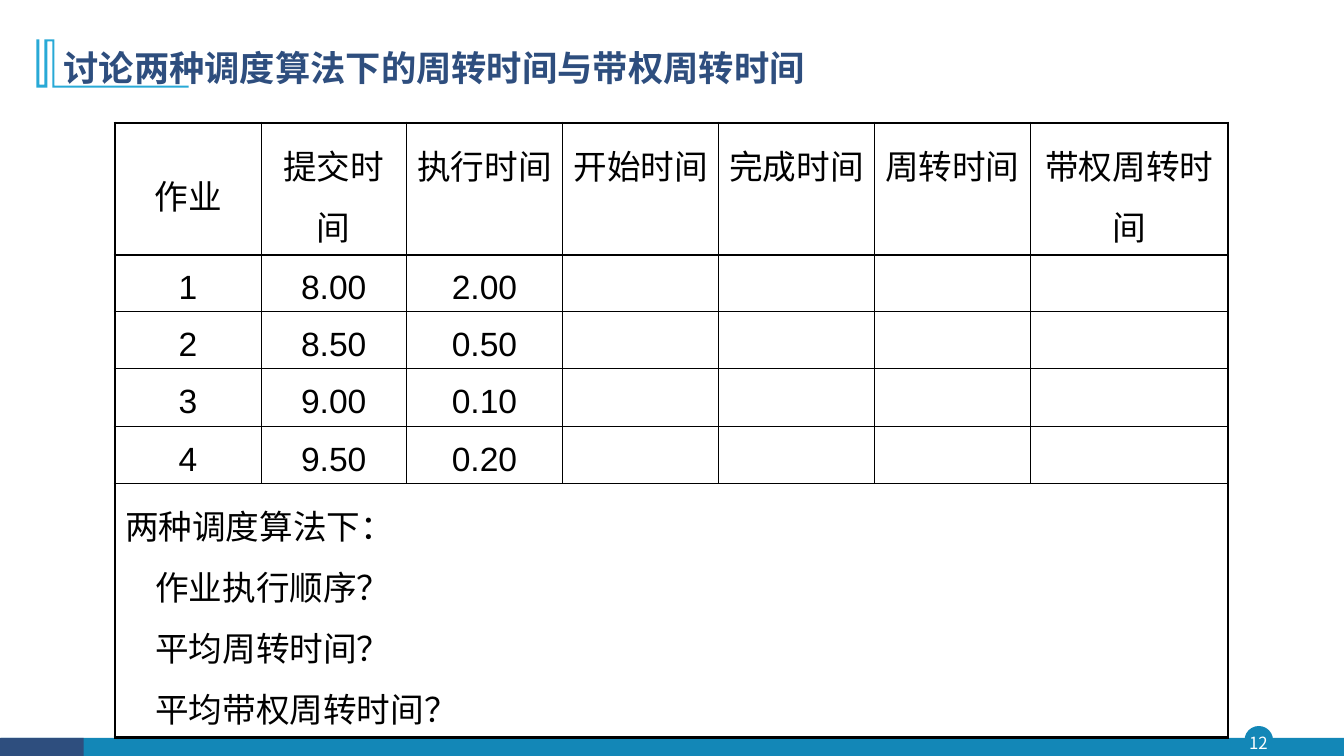
from lxml.etree import SubElement
from pptx import Presentation
from pptx.dml.color import RGBColor
from pptx.enum.shapes import MSO_SHAPE
from pptx.enum.text import MSO_ANCHOR, PP_ALIGN
from pptx.oxml.ns import qn
from pptx.util import Inches, Pt

COLORS = {"teal": "1387B7", "navy": "2E4E7E", "sky": "28A9D6",
          "black": "000000", "white": "FFFFFF"}
CJK_FONT = "Noto Sans CJK SC"
LINE_SPACING = 1.25

TITLE = "讨论两种调度算法下的周转时间与带权周转时间"
HEADERS = ["作业", "提交时间", "执行时间", "开始时间", "完成时间", "周转时间", "带权周转时间"]
JOBS = [("1", "8.00", "2.00"), ("2", "8.50", "0.50"),
        ("3", "9.00", "0.10"), ("4", "9.50", "0.20")]
QUESTIONS = ["两种调度算法下：", "作业执行顺序？", "平均周转时间？", "平均带权周转时间？"]
COLUMN_WIDTHS = [1.45, 1.44, 1.55, 1.55, 1.54, 1.55, 1.96]
ROW_HEIGHTS = [0.96, 0.53, 0.53, 0.57, 0.57, 2.46]
ORNAMENT = [(0.54, 0.39), (0.54, 0.85), (1.87, 0.85), (1.87, 0.87), (0.52, 0.87),
            (0.52, 0.41), (0.47, 0.41), (0.47, 0.87), (0.36, 0.87), (0.36, 0.39),
            (0.39, 0.39), (0.39, 0.84), (0.44, 0.84), (0.44, 0.39)]


def color(name):
    return RGBColor.from_string(COLORS[name])


class SlideBuilder:
    def __init__(self, slide):
        self.slide = slide

    def format_paragraph(self, paragraph, size, color_name, font=CJK_FONT, bold=False,
                         align=PP_ALIGN.LEFT, spacing=LINE_SPACING):
        paragraph.alignment = align
        paragraph.line_spacing = spacing
        for run in paragraph.runs:
            run.font.size = Pt(size)
            run.font.name = font
            run.font.bold = bold
            run.font.color.rgb = color(color_name)
            SubElement(run.font._element, qn("a:ea"), typeface=CJK_FONT)

    def paint(self, shape, color_name):
        shape.shadow.inherit = False
        shape.fill.solid()
        shape.fill.fore_color.rgb = color(color_name)
        shape.line.fill.background()

    def shape(self, kind, left, top, width, height, color_name):
        shape = self.slide.shapes.add_shape(
            kind, Inches(left), Inches(top), Inches(width), Inches(height))
        self.paint(shape, color_name)
        return shape

    def outline(self, points, color_name):
        corners = [(Inches(x), Inches(y)) for x, y in points]
        builder = self.slide.shapes.build_freeform(*corners[0])
        builder.add_line_segments(corners[1:], close=True)
        self.paint(builder.convert_to_shape(), color_name)

    def text(self, text, left, top, width, height, size, color_name):
        box = self.slide.shapes.add_textbox(
            Inches(left), Inches(top), Inches(width), Inches(height))
        frame = box.text_frame
        frame.word_wrap = True
        frame.vertical_anchor = MSO_ANCHOR.MIDDLE
        frame.margin_left = frame.margin_right = 0
        frame.margin_top = frame.margin_bottom = 0
        frame.text = text
        self.format_paragraph(frame.paragraphs[0], size, color_name,
                              align=PP_ALIGN.CENTER, spacing=1.0)

    def title(self, text, left, top, width, height):
        title = self.slide.shapes.title
        title.left, title.top = Inches(left), Inches(top)
        title.width, title.height = Inches(width), Inches(height)
        title.text_frame.text = text
        title.text_frame.vertical_anchor = MSO_ANCHOR.MIDDLE
        self.format_paragraph(title.text_frame.paragraphs[0], 25.2, "navy", bold=True)

    def table(self, left, top, widths, heights):
        table = self.slide.shapes.add_table(
            len(heights), len(widths), Inches(left), Inches(top),
            Inches(sum(widths)), Inches(sum(heights))).table
        table.first_row = table.horz_banding = False
        for column, width in zip(table.columns, widths):
            column.width = Inches(width)
        for row, height in zip(table.rows, heights):
            row.height = Inches(height)
        # Thick outer frame, thin inner grid
        last_row, last_column = len(heights) - 1, len(widths) - 1
        for r in range(len(heights)):
            for c in range(len(widths)):
                outer = {"lnL": c == 0, "lnR": c == last_column,
                         "lnT": r == 0, "lnB": r == last_row}
                # The merged last row takes its right edge from its first cell
                if r == last_row:
                    outer["lnR"] = True
                self.borders(table.cell(r, c), outer)
        return table

    def borders(self, cell, outer):
        properties = cell._tc.get_or_add_tcPr()
        for side, is_outer in outer.items():
            line = SubElement(properties, qn(f"a:{side}"), w=str(Pt(2.25 if is_outer else 1)))
            fill = SubElement(line, qn("a:solidFill"))
            SubElement(fill, qn("a:srgbClr"), val=COLORS["black"])
        cell.fill.background()

    def cell(self, cell, text, align=PP_ALIGN.CENTER, anchor=MSO_ANCHOR.TOP):
        cell.text_frame.text = text
        cell.vertical_anchor = anchor
        for paragraph in cell.text_frame.paragraphs:
            self.format_paragraph(paragraph, 24, "black", font="Arial", align=align)


def main():
    presentation = Presentation()
    presentation.slide_width, presentation.slide_height = Inches(13.33), Inches(7.5)
    slide = presentation.slides.add_slide(presentation.slide_layouts[5])
    builder = SlideBuilder(slide)

    # Footer with page number
    badge = builder.shape(MSO_SHAPE.OVAL, 12.35, 7.21, 0.27, 0.27, "teal")
    badge.line.color.rgb = color("teal")
    badge.line.width = Pt(1)
    builder.shape(MSO_SHAPE.RECTANGLE, 0.01, 7.32, 13.32, 0.19, "teal")
    builder.shape(MSO_SHAPE.RECTANGLE, 0, 7.32, 0.83, 0.19, "navy")
    builder.text("12", 12.32, 7.21, 0.32, 0.31, 12, "white")

    # Title with its ornament behind it
    builder.outline(ORNAMENT, "sky")
    builder.title(TITLE, 0.53, 0.34, 10.49, 0.56)
    slide.shapes._spTree.append(slide.shapes.title._element)

    # Job table
    table = builder.table(1.14, 1.22, COLUMN_WIDTHS, ROW_HEIGHTS)
    for r, values in enumerate([HEADERS, *JOBS]):
        for c, value in enumerate(values):
            centred = c == 0 and r < 3
            builder.cell(table.cell(r, c), value,
                         anchor=MSO_ANCHOR.MIDDLE if centred else MSO_ANCHOR.TOP)

    # Questions across the last row
    last_row = len(ROW_HEIGHTS) - 1
    questions = table.cell(last_row, 0)
    questions.merge(table.cell(last_row, len(COLUMN_WIDTHS) - 1))
    builder.cell(questions, "\n".join(QUESTIONS), align=PP_ALIGN.LEFT)
    for paragraph in questions.text_frame.paragraphs[1:]:
        paragraph._p.get_or_add_pPr().set("marL", str(Inches(0.3)))

    presentation.save("out.pptx")


if __name__ == "__main__":
    main()
